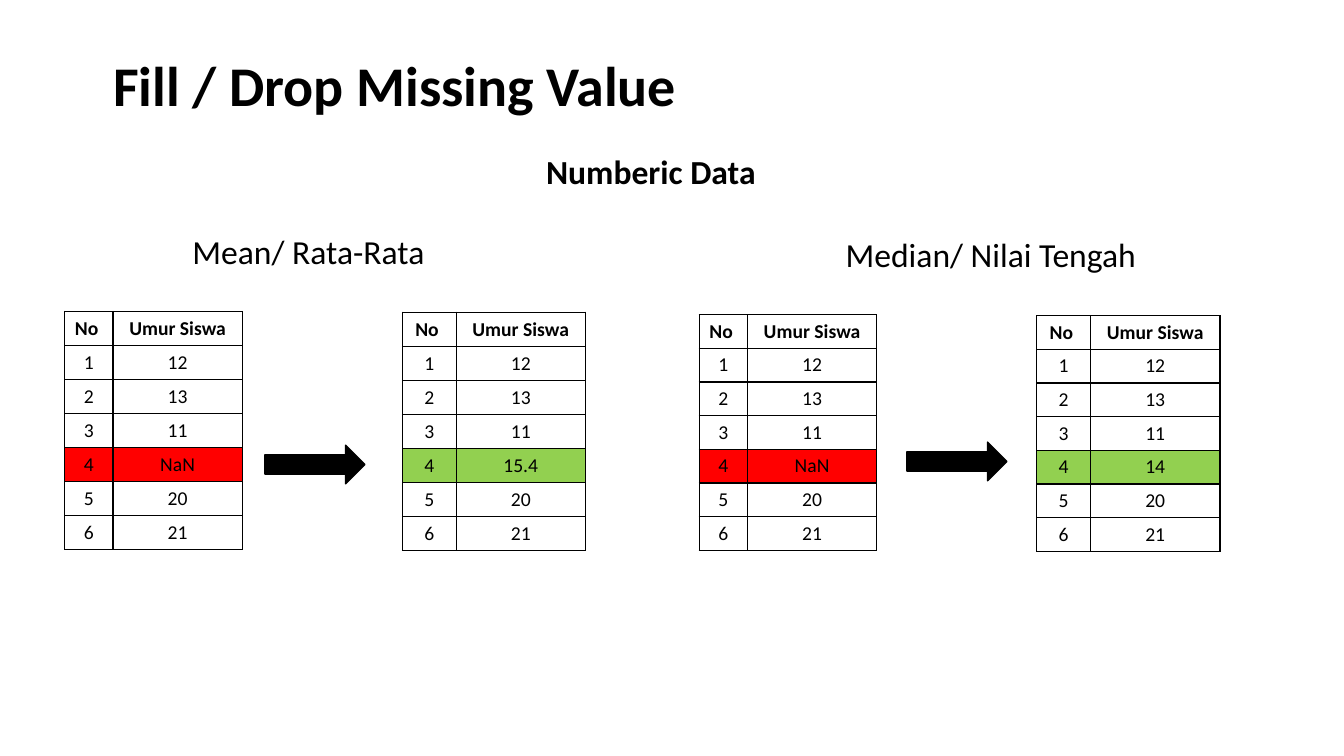
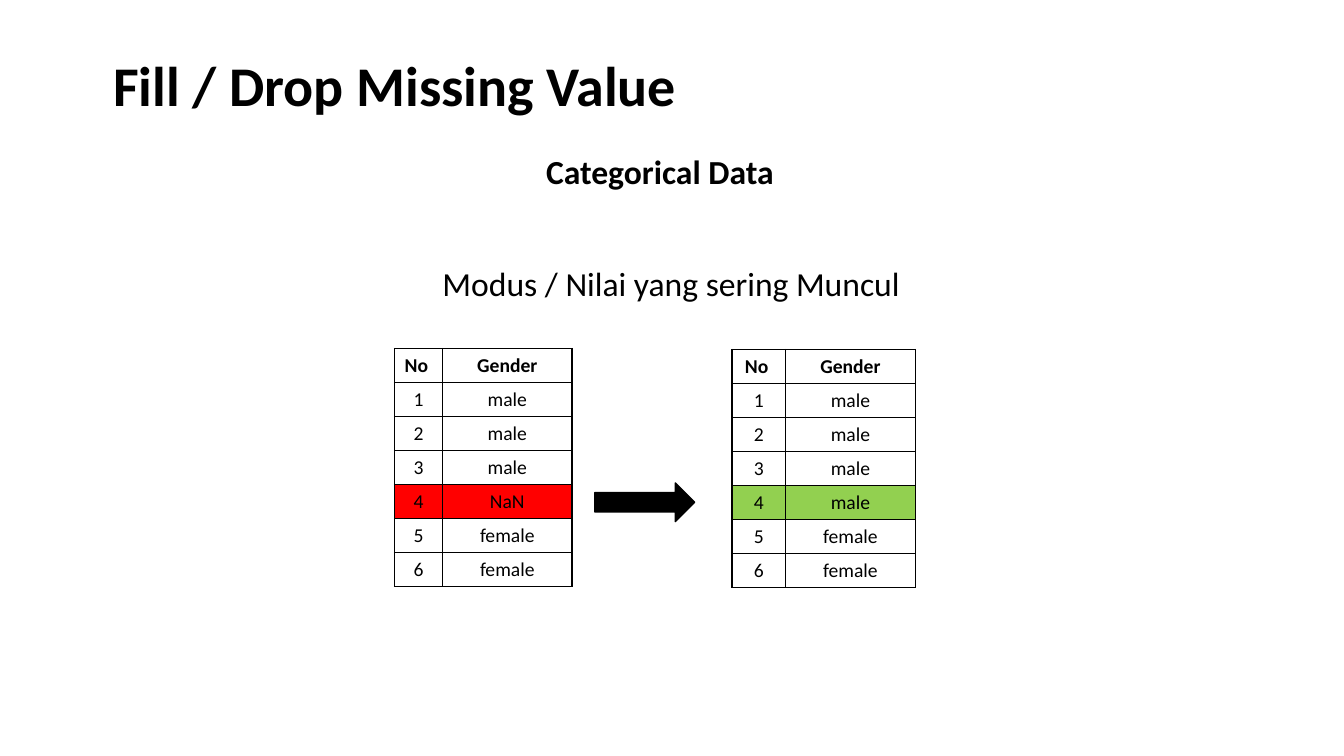
from dataclasses import dataclass

from lxml.etree import SubElement
from pptx import Presentation
from pptx.dml.color import RGBColor
from pptx.enum.shapes import MSO_SHAPE
from pptx.enum.text import MSO_ANCHOR as Anchor, MSO_AUTO_SIZE as AutoSize, PP_ALIGN as Align
from pptx.oxml.ns import qn
from pptx.util import Pt

FONT = "Calibri"
BLACK, WHITE, RED, GREEN = "000000", "FFFFFF", "FF0000", "92D050"
TITLE = "Fill / Drop Missing Value"
MISSING_ROW = 4
RESULT_OFFSET = 241.2
VALUE_WIDTH = 92.4
SOURCE_NUMBER_WIDTH, RESULT_NUMBER_WIDTH = 34.5, 38.4


@dataclass
class Panel:
    caption: str
    caption_box: tuple
    header: str
    values: list
    filled: str
    left: float
    top: float
    row_height: float
    arrow: tuple


NUMERIC_PANELS = [
    Panel("Mean/ Rata-Rata", (130.4, 161.4, 219.6, 36), "Umur Siswa",
          ["12", "13", "11", "NaN", "20", "21"], "15.4", 46.2, 222.4, 24.3, (189.2, 318)),
    Panel("Median/ Nilai Tengah", (597, 163.6, 254, 36), "Umur Siswa",
          ["12", "13", "11", "NaN", "20", "21"], "14", 499.4, 224.8, 24.05, (647.8, 315.8)),
]
CATEGORICAL_PANELS = [
    Panel("Modus / Nilai yang sering Muncul", (309, 184, 357, 36), "Gender",
          ["male", "male", "male", "NaN", "female", "female"], "male",
          281.7, 249, 24.3, (424.8, 345)),
]


def color(hex_value):
    return RGBColor.from_string(hex_value)


def add_run(paragraph, text, size, bold=False):
    run = paragraph.add_run()
    run.text = text
    run.font.name = FONT
    run.font.size = Pt(size)
    run.font.bold = bold
    run.font.color.rgb = color(BLACK)


def set_title(slide):
    title = slide.shapes.title
    title.left, title.top, title.width, title.height = Pt(73.6), Pt(10.8), Pt(828), Pt(104.4)
    frame = title.text_frame
    frame.auto_size = AutoSize.NONE
    frame.vertical_anchor = Anchor.MIDDLE
    paragraph = frame.paragraphs[0]
    paragraph.alignment = Align.LEFT
    paragraph.line_spacing = 0.9
    add_run(paragraph, TITLE, 40, True)


def add_text(slide, text, box, bold=False, wrap=True):
    frame = slide.shapes.add_textbox(*map(Pt, box)).text_frame
    frame.word_wrap = wrap
    frame.auto_size = AutoSize.SHAPE_TO_FIT_TEXT
    add_run(frame.paragraphs[0], text, 24, bold)


def add_borders(cell):
    properties = cell._tc.get_or_add_tcPr()
    for side in ("a:lnL", "a:lnR", "a:lnT", "a:lnB"):
        line = SubElement(properties, qn(side), w=str(Pt(1)))
        fill = SubElement(line, qn("a:solidFill"))
        SubElement(fill, qn("a:srgbClr"), val=BLACK)


def format_cell(cell, text, fill, bold):
    add_borders(cell)
    cell.fill.solid()
    cell.fill.fore_color.rgb = color(fill)
    cell.margin_top = cell.margin_bottom = Pt(3.4)
    cell.vertical_anchor = Anchor.MIDDLE
    paragraph = cell.text_frame.paragraphs[0]
    paragraph.alignment = Align.CENTER
    add_run(paragraph, text, 14, bold)


def add_data_table(slide, left, top, number_width, row_height, header, values, highlight):
    rows = [("No ", header)] + [(str(number), value) for number, value in enumerate(values, 1)]
    frame = slide.shapes.add_table(len(rows), 2, Pt(left), Pt(top),
                                   Pt(number_width + VALUE_WIDTH), Pt(row_height * len(rows)))
    table = frame.table
    for column, width in zip(table.columns, (number_width, VALUE_WIDTH)):
        column.width = Pt(width)
    for index, row in enumerate(rows):
        table.rows[index].height = Pt(row_height)
        fill = highlight if index == MISSING_ROW else WHITE
        for column, text in enumerate(row):
            format_cell(table.cell(index, column), text, fill, index == 0)


def add_arrow(slide, left, top):
    arrow = slide.shapes.add_shape(MSO_SHAPE.RIGHT_ARROW, Pt(left), Pt(top), Pt(71.4), Pt(27.6))
    arrow.shadow.inherit = False
    arrow.fill.solid()
    arrow.fill.fore_color.rgb = color(BLACK)
    arrow.line.color.rgb = color(BLACK)
    arrow.line.width = Pt(1)


def add_panel(slide, panel):
    add_text(slide, panel.caption, panel.caption_box)
    filled = list(panel.values)
    filled[MISSING_ROW - 1] = panel.filled
    add_data_table(slide, panel.left, panel.top, SOURCE_NUMBER_WIDTH,
                   panel.row_height, panel.header, panel.values, RED)
    add_arrow(slide, *panel.arrow)
    add_data_table(slide, panel.left + RESULT_OFFSET, panel.top + 0.7, RESULT_NUMBER_WIDTH,
                   panel.row_height, panel.header, filled, GREEN)


def add_method_slide(presentation, subtitle, subtitle_width, panels):
    slide = presentation.slides.add_slide(presentation.slide_layouts[5])
    set_title(slide)
    add_text(slide, subtitle, (383, 104.4, subtitle_width, 36), bold=True, wrap=False)
    for panel in panels:
        add_panel(slide, panel)


def main():
    presentation = Presentation()
    presentation.slide_width, presentation.slide_height = Pt(960), Pt(540)
    add_method_slide(presentation, "Numberic Data", 164, NUMERIC_PANELS)
    add_method_slide(presentation, "Categorical Data", 177, CATEGORICAL_PANELS)
    presentation.save("out.pptx")


if __name__ == "__main__":
    main()
